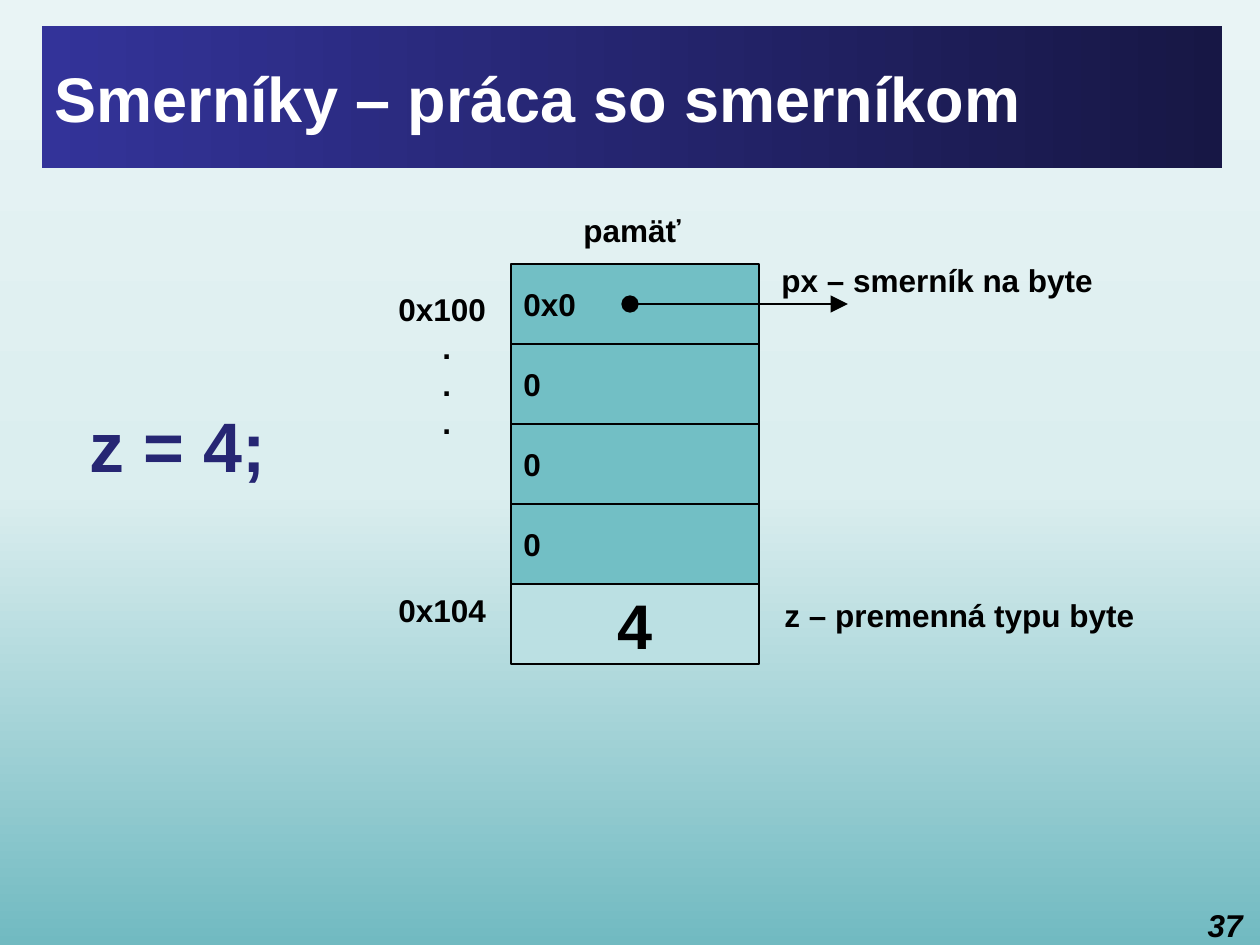
"""Build the slide about working with a pointer in memory."""
from copy import deepcopy
from dataclasses import dataclass

from lxml import etree
from pptx import Presentation
from pptx.dml.color import RGBColor
from pptx.enum.shapes import MSO_CONNECTOR, MSO_SHAPE
from pptx.enum.text import MSO_ANCHOR, MSO_AUTO_SIZE, PP_ALIGN
from pptx.oxml.ns import qn
from pptx.util import Emu, Pt

LEFT, CENTER, RIGHT = PP_ALIGN.LEFT, PP_ALIGN.CENTER, PP_ALIGN.RIGHT
MIDDLE = MSO_ANCHOR.MIDDLE
FIT, FIXED = MSO_AUTO_SIZE.SHAPE_TO_FIT_TEXT, MSO_AUTO_SIZE.NONE
RECTANGLE, STRAIGHT = MSO_SHAPE.RECTANGLE, MSO_CONNECTOR.STRAIGHT
PX_PER_INCH = 126
TITLE_ONLY = 5


@dataclass(frozen=True)
class Theme:
    """Hold the colours and type sizes of the slide."""
    font: str = "Arial"
    ink: str = "000000"
    white: str = "FFFFFF"
    code: str = "262673"
    pointer_cell: str = "72BFC5"
    variable_cell: str = "BBE0E3"
    banner: tuple = ((0, "333399"), (100, "171745"))
    backdrop: tuple = ((0, "71BAC1"), (48, "DBEEEF"), (100, "E9F4F5"))
    body: int = 18
    heading: int = 36
    statement: int = 40
    line_pitch: float = 21.5
    border: float = 0.75


THEME = Theme()


def px(length):
    """Turn a length in px into EMU."""
    return Emu(round(length * 914400 / PX_PER_INCH))


def box(*lengths):
    """Turn left, top, width and height in px into EMU."""
    return [px(length) for length in lengths]


def apply(target, formats):
    """Set attributes of an object from a dict."""
    for name, value in formats.items():
        setattr(target, name, value)


def style(paragraph, size=THEME.body, color=THEME.ink, align=LEFT, italic=False):
    """Format one paragraph."""
    paragraph.alignment = align
    apply(paragraph.font, {"name": THEME.font, "size": Pt(size),
                           "bold": True, "italic": italic})
    paragraph.font.color.rgb = RGBColor.from_string(color)


def fill_gradient(fill, owner, stops, angle):
    """Give a fill a linear gradient with any number of stops."""
    fill.gradient()
    fill.gradient_angle = angle
    stop_list = owner.find(".//" + qn("a:gsLst"))
    template = deepcopy(stop_list[0])
    for old in list(stop_list):
        stop_list.remove(old)
    for _ in stops:
        stop_list.append(deepcopy(template))
    for stop, (percent, color) in zip(fill.gradient_stops, stops):
        stop.position = percent / 100
        stop.color.rgb = RGBColor.from_string(color)


def add_title(slide, text):
    """Place the title in its gradient banner."""
    title = slide.shapes.title
    apply(title, dict(zip(("left", "top", "width", "height"),
                          box(42, 26, 1180, 142))))
    fill_gradient(title.fill, title.element, THEME.banner, 0)
    title.text_frame.text = text
    apply(title.text_frame, {"vertical_anchor": MIDDLE, "auto_size": FIXED})
    style(title.text_frame.paragraphs[0], THEME.heading, THEME.white)


def add_label(slide, text, place, **formats):
    """Add one line of free text."""
    frame = slide.shapes.add_textbox(*box(*place)).text_frame
    frame.text = text
    apply(frame, {"word_wrap": False, "auto_size": FIT})
    style(frame.paragraphs[0], **formats)


def add_cell(slide, text, place, color, **formats):
    """Add one memory cell."""
    cell = slide.shapes.add_shape(RECTANGLE, *box(*place))
    cell.shadow.inherit = False
    cell.fill.solid()
    cell.fill.fore_color.rgb = RGBColor.from_string(color)
    cell.line.color.rgb = RGBColor.from_string(THEME.ink)
    cell.line.width = Pt(THEME.border)
    cell.text_frame.text = text
    apply(cell.text_frame, {"vertical_anchor": MIDDLE, "word_wrap": True})
    style(cell.text_frame.paragraphs[0], **formats)


def add_addresses(slide, first, last, place):
    """Add the address column: first address, three dots, last address."""
    frame = slide.shapes.add_textbox(*box(*place)).text_frame
    frame.text = "\n".join([first, ".", ".", ".", last])
    frame.word_wrap = True
    for paragraph in frame.paragraphs:
        style(paragraph)
        paragraph.line_spacing = Pt(THEME.line_pitch)
        if paragraph.text == ".":
            paragraph._p.get_or_add_pPr().set("marL", str(px(44)))
    frame.paragraphs[-1].space_before = Pt(4 * THEME.line_pitch)


def add_pointer(slide, start, end):
    """Add the pointer arrow with a round start."""
    arrow = slide.shapes.add_connector(STRAIGHT, *box(*start, *end))
    arrow.line.color.rgb = RGBColor.from_string(THEME.ink)
    arrow.line.width = Pt(THEME.border)
    line = arrow.line._get_or_add_ln()
    for tag, kind in (("a:headEnd", "oval"), ("a:tailEnd", "triangle")):
        etree.SubElement(line, qn(tag), type=kind, w="lg", len="lg")
    etree.SubElement(arrow.element.spPr, qn("a:effectLst"))


def add_memory(slide):
    """Stack the pointer bytes and the variable they precede."""
    left, top, width, height = 511, 264, 248, 80
    pointer_bytes = ["0x0", "0", "0", "0"]
    for row, value in enumerate(pointer_bytes):
        add_cell(slide, value, (left, top + row * height, width, height),
                 THEME.pointer_cell)
    variable_top = top + len(pointer_bytes) * height
    add_cell(slide, "4", (left, variable_top, width, height),
             THEME.variable_cell, size=THEME.heading, align=CENTER)


def main():
    """Build and save the slide."""
    deck = Presentation()
    deck.slide_width, deck.slide_height = px(1260), px(945)
    slide = deck.slides.add_slide(deck.slide_layouts[TITLE_ONLY])
    fill_gradient(slide.background.fill, slide.element, THEME.backdrop, 90)
    add_title(slide, "Smerníky – práca so smerníkom")
    add_memory(slide)
    add_pointer(slide, (630, 304), (848, 304))
    add_label(slide, "pamäť", (571, 205, 123, 50))
    add_label(slide, "px – smerník na byte", (769, 255, 340, 50))
    add_label(slide, "z – premenná typu byte", (772, 590, 379, 50))
    add_label(slide, "z = 4;", (77, 396, 204, 97),
              size=THEME.statement, color=THEME.code)
    add_addresses(slide, "0x100", "0x104", (386, 284, 128, 394))
    add_label(slide, "37", (1188, 900, 67, 39), align=RIGHT, italic=True)
    deck.save("out.pptx")


if __name__ == "__main__":
    main()
